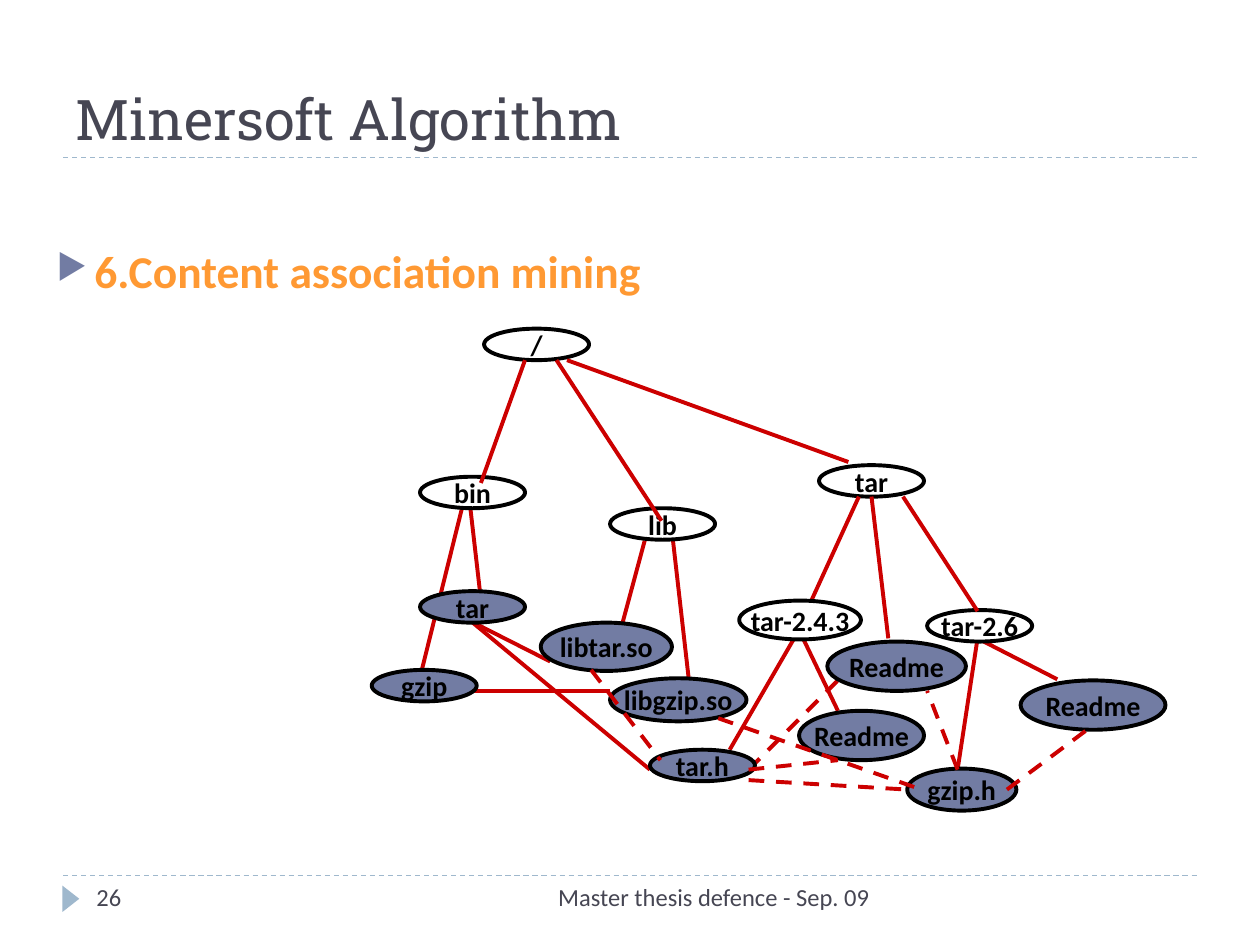
from dataclasses import dataclass

from lxml import etree
from pptx import Presentation
from pptx.dml.color import RGBColor
from pptx.enum.dml import MSO_LINE
from pptx.enum.shapes import MSO_CONNECTOR, MSO_SHAPE
from pptx.enum.text import MSO_ANCHOR, PP_ALIGN
from pptx.oxml.ns import qn
from pptx.util import Inches, Pt

DASH = MSO_LINE.DASH
STRAIGHT = MSO_CONNECTOR.STRAIGHT
ELLIPSE = MSO_SHAPE.OVAL
TRIANGLE = MSO_SHAPE.ISOSCELES_TRIANGLE
TOP, MIDDLE, BOTTOM = MSO_ANCHOR.TOP, MSO_ANCHOR.MIDDLE, MSO_ANCHOR.BOTTOM
LEFT, CENTER, RIGHT = PP_ALIGN.LEFT, PP_ALIGN.CENTER, PP_ALIGN.RIGHT

BLACK = RGBColor(0x00, 0x00, 0x00)
WHITE = RGBColor(0xFF, 0xFF, 0xFF)
SLATE = RGBColor(0x46, 0x46, 0x53)
INDIGO = RGBColor(0x72, 0x7C, 0xA3)
PALE_BLUE = RGBColor(0x9F, 0xB8, 0xCD)
ORANGE = RGBColor(0xFF, 0x99, 0x33)
RED = RGBColor(0xCC, 0x00, 0x00)

COLUMNS, ROWS = 120, 90

deck = Presentation()
deck.slide_width, deck.slide_height = Inches(10), Inches(7.5)
slide = deck.slides.add_slide(deck.slide_layouts[6])


@dataclass(frozen=True)
class Node:
    label: str
    column: float
    row: float
    columns: float = 10
    rows: float = 3
    fill: RGBColor = INDIGO


@dataclass(frozen=True)
class Edge:
    start: tuple[float, float]
    end: tuple[float, float]
    dashed: bool = False


def x(columns: float) -> int:
    return round(deck.slide_width * columns / COLUMNS)


def y(rows: float) -> int:
    return round(deck.slide_height * rows / ROWS)


def write(shape, text: str, *, size: float, color: RGBColor, font: str = "Calibri",
          bold: bool = False, align=LEFT, anchor=TOP, wrap: bool = True,
          bullet: bool = False) -> None:
    frame = shape.text_frame
    frame.word_wrap = wrap
    frame.vertical_anchor = anchor
    paragraph = frame.paragraphs[0]
    paragraph.alignment = align
    if bullet:
        properties = paragraph._p.get_or_add_pPr()
        properties.set("marL", str(Inches(0.3)))
        properties.set("indent", str(Inches(-0.3)))
        bullet_color = etree.SubElement(properties, qn("a:buClr"))
        etree.SubElement(bullet_color, qn("a:srgbClr"), val=str(INDIGO))
        etree.SubElement(properties, qn("a:buSzPct"), val="76000")
        etree.SubElement(properties, qn("a:buChar"), char="▶")
    run = paragraph.add_run()
    run.text = text
    run.font.size = Pt(size)
    run.font.name = font
    run.font.bold = bold
    run.font.color.rgb = color


def add_text(text: str, column: float, row: float, columns: float, rows: float,
             **text_format) -> None:
    box = slide.shapes.add_textbox(x(column), y(row), x(columns), y(rows))
    write(box, text, **text_format)


def add_edge(edge: Edge, color: RGBColor = RED, width: float = 2.25) -> None:
    (x1, y1), (x2, y2) = edge.start, edge.end
    connector = slide.shapes.add_connector(STRAIGHT, x(x1), y(y1), x(x2), y(y2))
    connector.line.color.rgb = color
    connector.line.width = Pt(width)
    if edge.dashed:
        connector.line.dash_style = DASH
    etree.SubElement(connector._element.spPr, qn("a:effectLst"))


def add_node(node: Node) -> None:
    oval = slide.shapes.add_shape(
        ELLIPSE, x(node.column), y(node.row), x(node.columns), y(node.rows))
    oval.shadow.inherit = False
    oval.fill.solid()
    oval.fill.fore_color.rgb = node.fill
    oval.line.color.rgb = BLACK
    oval.line.width = Pt(2.25)
    write(oval, node.label, size=16, color=BLACK, bold=True,
          align=CENTER, anchor=MIDDLE, wrap=False)


def add_footer_marker() -> None:
    marker = slide.shapes.add_shape(TRIANGLE, x(5.5), y(84.8), x(2.5), y(1.6))
    marker.rotation = 90
    marker.shadow.inherit = False
    marker.fill.solid()
    marker.fill.fore_color.rgb = PALE_BLUE
    marker.line.fill.background()


TAR_BINARY_EXIT = (44.9, 59.2)
TAR_26_EXIT = (93.1, 60.8)
TAR_243_EXIT = (76.1, 60)
TAR_HEADER_EXIT = (71.3, 73.3)
GZIP_HEADER_TOP = (91.2, 73.3)

GRAPH = [
    Edge(TAR_BINARY_EXIT, (61.9, 73.3)),
    Edge((44, 48.4), (40.2, 63.7)),
    Edge((64.1, 51.5), (65.6, 64.7)),
    Edge((61.4, 51.5), (59, 60.4)),
    Edge((44.8, 48.4), (45.8, 57.1)),
    Edge(TAR_26_EXIT, (100.7, 64.7)),
    Edge(TAR_243_EXIT, (69.5, 71.4)),
    Edge(TAR_26_EXIT, GZIP_HEADER_TOP),
    Edge((44.9, 65.8), (58.1, 65.8)),
    Edge(TAR_BINARY_EXIT, (52.4, 63)),
    Edge(TAR_HEADER_EXIT, (80.8, 63.8), dashed=True),
    Node("tar-2.6", 88.3, 58.1, fill=WHITE),
    Node("tar", 40, 56.3),
    Node("gzip", 35.4, 63.8),
    Node("libgzip.so", 58.1, 64.6, 13, 4.1),
    Node("libtar.so", 51.5, 59.3, 12.5, 4.6),
    Node("bin", 40, 45.4, fill=WHITE),
    Node("lib", 58.1, 48.4, fill=WHITE),
    Node("tar", 78, 44.3, fill=WHITE),
    Node("/", 46.1, 31.3, fill=WHITE),
    Edge((50, 34.3), (45.8, 46)),
    Edge((81.8, 47.3), (77, 57.8)),
    Edge((83, 47.3), (84.6, 60.8)),
    Edge((86, 47.3), (93.1, 58.2)),
    Edge((54, 34.3), (80.8, 44)),
    Edge((53, 34.3), (63, 49.6)),
    Edge(TAR_243_EXIT, (79.8, 67.7)),
    Node("Readme", 97.2, 64.8, 13.8, 4.7),
    Node("tar.h", 61.9, 71.4),
    Node("gzip.h", 86.4, 73.2, 10.4, 4),
    Node("Readme", 78.8, 61.1, 13.2, 4.7),
    Node("Readme", 76.1, 67.7, 11.9, 4.7),
    Edge(TAR_HEADER_EXIT, (79.8, 72.4), dashed=True),
    Edge(GZIP_HEADER_TOP, (88.3, 65.8), dashed=True),
    Edge((95.9, 75.2), (103.4, 69.6), dashed=True),
    Node("tar-2.4.3", 70.4, 57.2, 11.6, 3.7, fill=WHITE),
    Edge((71.3, 74.3), (86.4, 75.2), dashed=True),
    Edge((56.3, 63.8), (62.9, 72.4), dashed=True),
    Edge((68.4, 68.4), (87.2, 75), dashed=True),
]


def main() -> None:
    for rule_row in (83.4, 15):
        add_edge(Edge((6, rule_row), (114, rule_row), dashed=True), PALE_BLUE, 0.75)
    add_footer_marker()
    add_text("Minersoft Algorithm", 6, 2, 108, 13, size=32, color=SLATE,
             font="Roboto Slab", anchor=BOTTOM)
    add_text("6.Content association mining", 4.2, 22.6, 96.4, 51.6, size=26,
             color=ORANGE, bold=True, bullet=True)
    for part in GRAPH:
        if isinstance(part, Node):
            add_node(part)
        else:
            add_edge(part)
    add_text("26", 8, 83.4, 26, 4.8, size=14, color=SLATE)
    add_text("Master thesis defence - Sep. 09", 38, 83.4, 46, 4.8, size=14,
             color=SLATE, align=RIGHT)
    deck.save("out.pptx")


if __name__ == "__main__":
    main()
